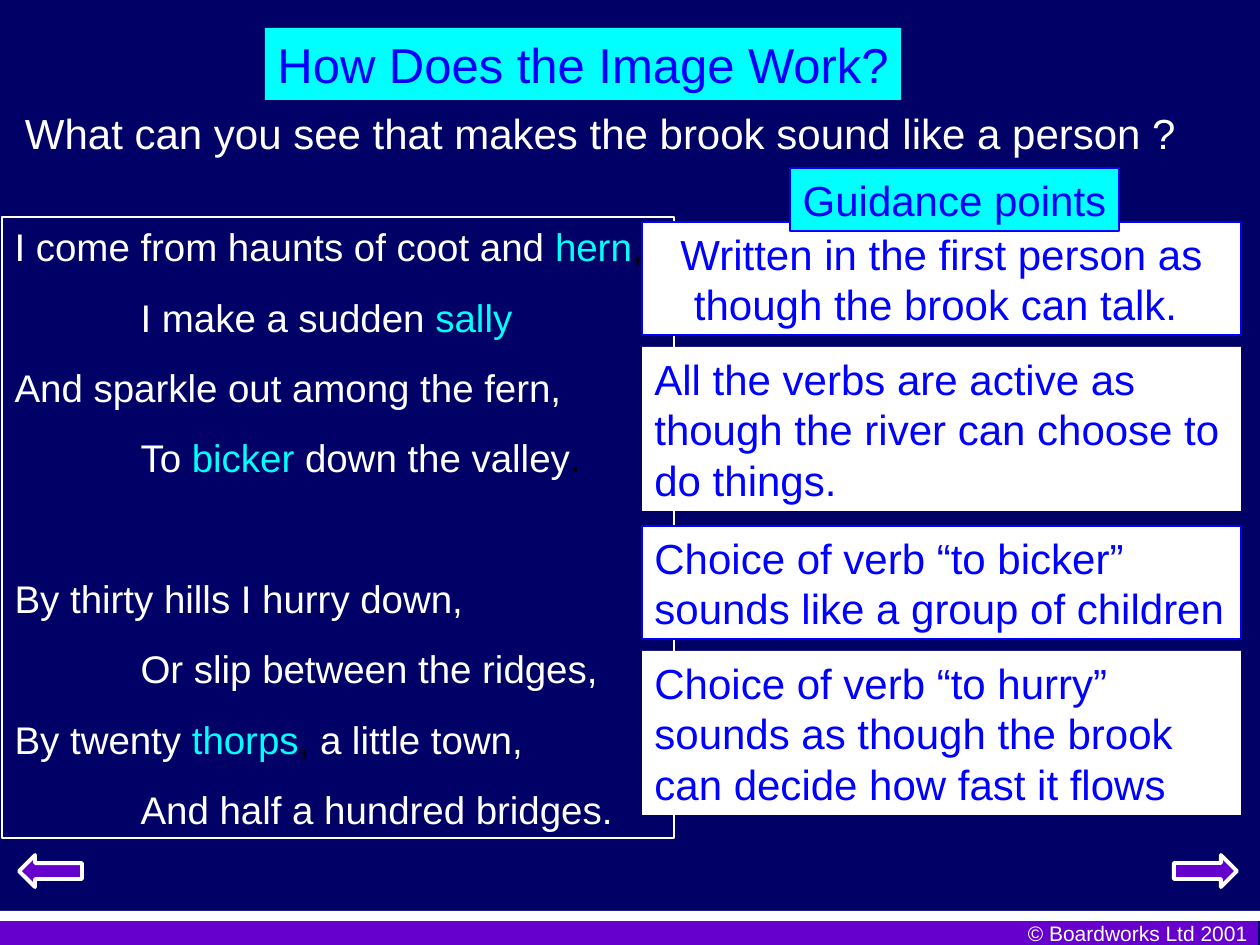
from dataclasses import dataclass
from typing import Optional
from lxml import etree
from pptx import Presentation
from pptx import util as u
from pptx.dml.color import RGBColor
from pptx.enum import shapes, text

SCALE = 914400 / 126


@dataclass(frozen=True)
class Theme:
    font: str = "Arial"
    navy: str = "000066"
    violet: str = "6600CC"
    cyan: str = "00FFFF"
    blue: str = "0000FF"
    white: str = "FFFFFF"
    black: str = "000000"
    head: int = 28
    body: int = 24
    verse: int = 22
    small: int = 12
    thin: float = 0.75
    thick: float = 2.25
    gap: float = 13.8
    break_gap: float = 54


T = Theme()
LEFT, MID, RIGHT = text.PP_ALIGN.LEFT, text.PP_ALIGN.CENTER, text.PP_ALIGN.RIGHT
RECT = shapes.MSO_SHAPE.RECTANGLE
ARROW = shapes.MSO_SHAPE.RIGHT_ARROW


@dataclass(frozen=True)
class Box:
    x: int
    y: int
    w: int
    h: int

    def emu(self) -> tuple:
        return tuple(u.Emu(round(n * SCALE)) for n in (self.x, self.y, self.w, self.h))


@dataclass(frozen=True)
class Run:
    text: str
    color: str = T.white


@dataclass(frozen=True)
class Verse:
    runs: tuple
    inset: bool = False
    gap: float = T.gap


@dataclass(frozen=True)
class Card:
    box: Box
    text: str
    fill: str = T.white
    line: Optional[str] = None
    align: int = LEFT
    wrap: bool = True


POEM = (
    Verse((Run("I come from haunts of coot and "), Run("hern", T.cyan), Run(",", T.black)), gap=0),
    Verse((Run("I make a sudden "), Run("sally", T.cyan)), True),
    Verse((Run("And sparkle out among the fern,"),)),
    Verse((Run("To "), Run("bicker ", T.cyan), Run("down the valley"), Run(".", T.black)), True),
    Verse((Run("By thirty hills I hurry down,"),), gap=T.break_gap),
    Verse((Run("Or slip between the ridges,"),), True),
    Verse((Run("By twenty "), Run("thorps", T.cyan), Run(", ", T.black), Run("a little town,"))),
    Verse((Run("And half a hundred bridges."),), True),
)

CARDS = (
    Card(Box(642, 222, 599, 113), "Written in the first person as though the brook can talk. ",
         line=T.blue, align=MID),
    Card(Box(642, 347, 599, 164),
         "All the verbs are active as though the river can choose to do things."),
    Card(Box(642, 526, 599, 113), "Choice of verb “to bicker” sounds like a group of children",
         line=T.blue),
    Card(Box(642, 651, 599, 164),
         "Choice of verb “to hurry” sounds as though the brook can decide how fast it flows"),
    Card(Box(790, 168, 329, 63), "Guidance points", T.cyan, T.blue, MID, False),
)


def rgb(code: str) -> RGBColor:
    return RGBColor.from_string(code)


def place(shape, box: Box) -> None:
    shape.left, shape.top, shape.width, shape.height = box.emu()


def paint(shape, fill: Optional[str], line: Optional[str] = None, width: float = T.thin) -> None:
    if fill:
        shape.fill.solid()
        shape.fill.fore_color.rgb = rgb(fill)
    else:
        shape.fill.background()
    if line:
        shape.line.color.rgb = rgb(line)
        shape.line.width = u.Pt(width)
    else:
        shape.line.fill.background()


def frame(shape, wrap: bool = True, anchor=text.MSO_ANCHOR.MIDDLE, side: float = 0.1):
    tf = shape.text_frame
    tf.auto_size = text.MSO_AUTO_SIZE.NONE
    tf.word_wrap = wrap
    tf.vertical_anchor = anchor
    tf.margin_left = tf.margin_right = u.Inches(side)
    tf.margin_top = tf.margin_bottom = u.Inches(0.05)
    return tf


def write(para, runs: tuple, size: int, align=LEFT, gap: float = 0) -> None:
    para.alignment = align
    para.space_before = u.Pt(gap)
    for part in runs:
        run = para.add_run()
        run.text = part.text
        run.font.name = T.font
        run.font.size = u.Pt(size)
        run.font.color.rgb = rgb(part.color)


def plain(para, inset: int) -> None:
    props = para._p.get_or_add_pPr()
    props.set("marL", str(round(inset * SCALE)))
    props.set("indent", "0")
    etree.SubElement(props, "{http://schemas.openxmlformats.org/drawingml/2006/main}buNone")


def draw(slide, kind, box: Box, fill: str, line: Optional[str] = None, width: float = T.thin):
    shape = slide.shapes.add_shape(kind, *box.emu())
    shape.shadow.inherit = False
    paint(shape, fill, line, width)
    return shape


def label(slide, box: Box, words: str, size: int, align) -> None:
    shape = slide.shapes.add_textbox(*box.emu())
    write(frame(shape).paragraphs[0], (Run(words),), size, align)


def add_card(slide, card: Card) -> None:
    shape = draw(slide, RECT, card.box, card.fill, card.line)
    para = frame(shape, card.wrap).paragraphs[0]
    write(para, (Run(card.text, T.blue),), T.body, card.align)


def add_title(slide) -> None:
    title = slide.shapes.title
    place(title, Box(265, 28, 636, 72))
    paint(title, T.cyan)
    para = frame(title, side=0.02).paragraphs[0]
    write(para, (Run("How Does the Image Work?", T.blue),), T.head, MID)


def add_poem(slide) -> None:
    body = slide.placeholders[1]
    place(body, Box(2, 217, 672, 621))
    paint(body, None, T.white)
    tf = frame(body, anchor=text.MSO_ANCHOR.TOP)
    for i, verse in enumerate(POEM):
        para = tf.add_paragraph() if i else tf.paragraphs[0]
        plain(para, 126 if verse.inset else 0)
        write(para, verse.runs, T.verse, LEFT, verse.gap)


def add_base(slide) -> None:
    draw(slide, RECT, Box(-2, 921, 1260, 24), T.violet)
    label(slide, Box(966, 914, 294, 38), "© Boardworks Ltd 2001", T.small, RIGHT)
    draw(slide, RECT, Box(0, 911, 1260, 10), T.white)
    for x, turn in ((1174, 0), (19, 180)):
        arrow = draw(slide, ARROW, Box(x, 855, 63, 32), T.violet, T.white, T.thick)
        arrow.rotation = turn


def main() -> None:
    deck = Presentation()
    deck.slide_width, deck.slide_height = u.Inches(10), u.Inches(7.5)
    slide = deck.slides.add_slide(deck.slide_layouts[1])
    slide.background.fill.solid()
    slide.background.fill.fore_color.rgb = rgb(T.navy)
    add_base(slide)
    add_poem(slide)
    add_title(slide)
    label(slide, Box(2, 101, 1197, 63),
          "What can you see that makes the brook sound like a person ?", T.body, MID)
    for card in CARDS:
        add_card(slide, card)
    deck.save("out.pptx")


if __name__ == "__main__":
    main()
